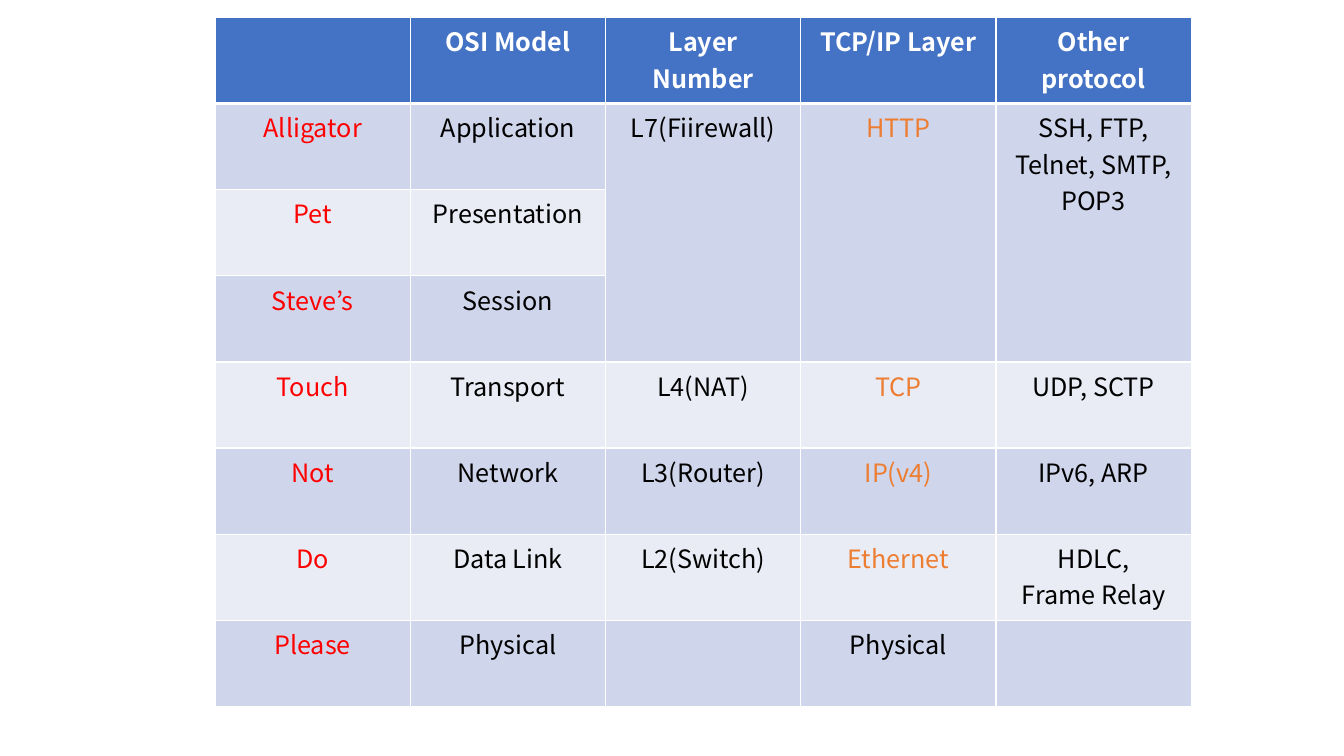
import pptx
import pptx.dml.color
import pptx.enum.text
import pptx.oxml
import pptx.oxml.ns
import pptx.util
from dataclasses import dataclass

Cm = pptx.util.Cm
Pt = pptx.util.Pt
RGB = pptx.dml.color.RGBColor.from_string


@dataclass(frozen=True)
class Theme:
    font: str = "Noto Sans CJK KR"
    size: int = 18
    header: str = "4472C4"
    bands: tuple = ("CFD5EA", "E9EBF5")
    white: str = "FFFFFF"
    black: str = "000000"
    mnemonic: str = "FF0000"
    protocol: str = "ED7D31"
    thin: int = 1
    thick: int = 3


theme = Theme()

ROWS = [
    ["", "OSI Model", "Layer Number", "TCP/IP Layer", "Other protocol"],
    ["Alligator", "Application", "L7(Fiirewall)", "HTTP", "SSH, FTP, Telnet, SMTP, POP3"],
    ["Pet", "Presentation", "", "", ""],
    ["Steve’s", "Session", "", "", ""],
    ["Touch", "Transport", "L4(NAT)", "TCP", "UDP, SCTP"],
    ["Not", "Network", "L3(Router)", "IP(v4)", "IPv6, ARP"],
    ["Do", "Data Link", "L2(Switch)", "Ethernet", "HDLC,\nFrame Relay"],
    ["Please", "Physical", "", "Physical", ""],
]
COLUMN_COLORS = [theme.mnemonic, theme.black, theme.black, theme.protocol, theme.black]
COLUMN_WIDTH, ROW_HEIGHT = Cm(4.92), Cm(2.17)


def set_borders(cell, top, bottom):
    """Draw white borders on all sides; top and bottom widths are in points."""
    properties = cell._tc.get_or_add_tcPr()
    sides = {"lnL": theme.thin, "lnR": theme.thin, "lnT": top, "lnB": bottom}
    for position, (side, width) in enumerate(sides.items()):
        line = pptx.oxml.parse_xml(
            f'<a:{side} {pptx.oxml.ns.nsdecls("a")} w="{Pt(width)}">'
            f'<a:solidFill><a:srgbClr val="{theme.white}"/></a:solidFill></a:{side}>'
        )
        properties.insert(position, line)


deck = pptx.Presentation()
deck.slide_width, deck.slide_height = Cm(33.87), Cm(19.05)
page = deck.slides.add_slide(deck.slide_layouts[6])

table = page.shapes.add_table(
    len(ROWS), len(COLUMN_COLORS), Cm(5.42), Cm(0.44),
    COLUMN_WIDTH * len(COLUMN_COLORS), ROW_HEIGHT * len(ROWS),
).table
for column in table.columns:
    column.width = COLUMN_WIDTH
for row in table.rows:
    row.height = ROW_HEIGHT

for row_index, texts in enumerate(ROWS):
    is_header = row_index == 0
    fill = theme.header if is_header else theme.bands[(row_index - 1) % 2]
    for column_index, text in enumerate(texts):
        cell = table.cell(row_index, column_index)
        cell.text = text
        cell.fill.solid()
        cell.fill.fore_color.rgb = RGB(fill)
        set_borders(
            cell,
            top=theme.thick if row_index == 1 else theme.thin,
            bottom=theme.thick if is_header else theme.thin,
        )
        color = theme.white if is_header else COLUMN_COLORS[column_index]
        if text == "Physical":
            color = theme.black
        for para in cell.text_frame.paragraphs:
            para.alignment = pptx.enum.text.PP_ALIGN.CENTER
            para.font.name = theme.font
            para.font.size = Pt(theme.size)
            para.font.bold = is_header
            para.font.color.rgb = RGB(color)

# The application layer covers the top three OSI rows.
for column_index in range(2, 5):
    table.cell(1, column_index).merge(table.cell(3, column_index))

deck.save("out.pptx")
